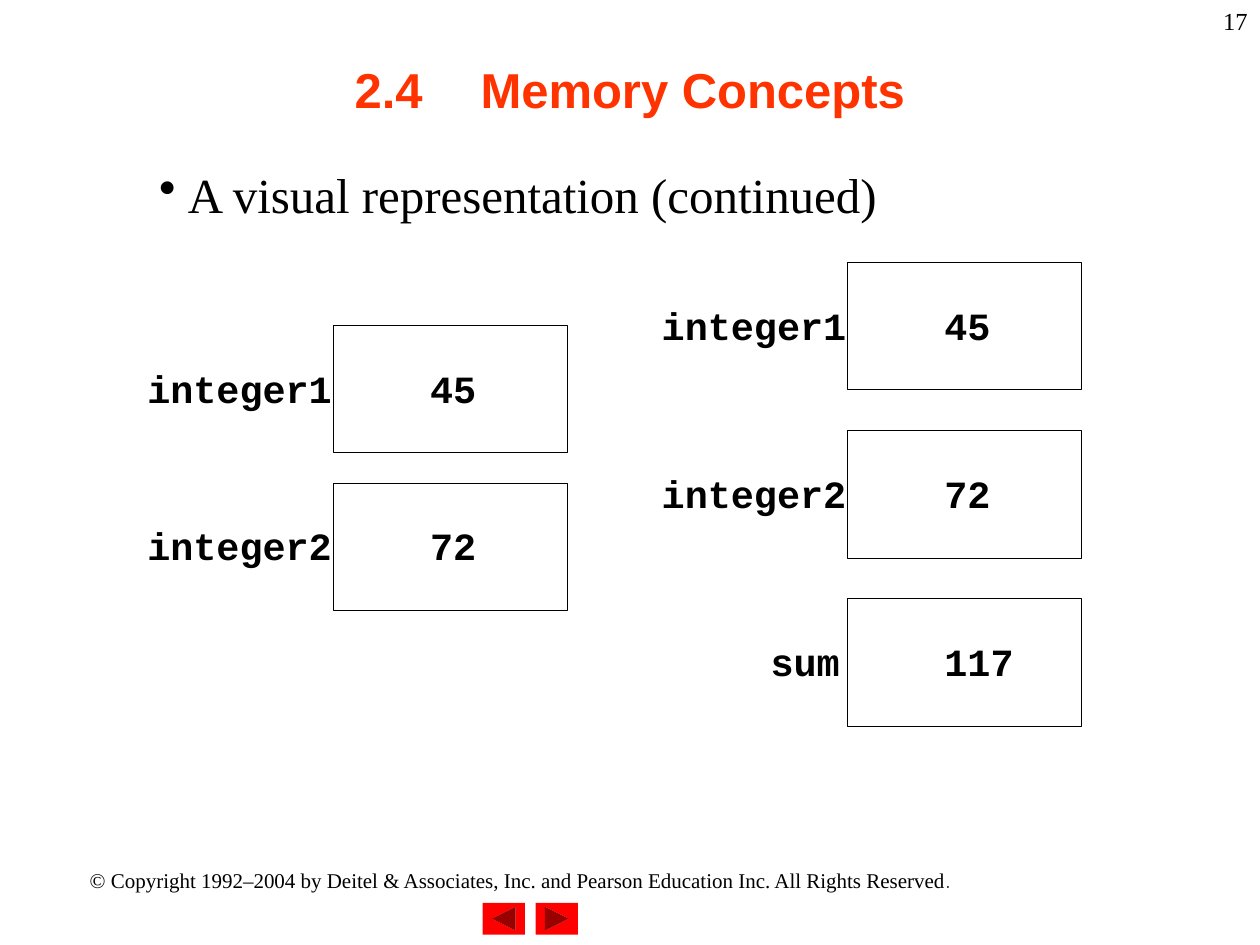
from lxml.etree import SubElement
from pptx import Presentation
from pptx.dml.color import RGBColor
from pptx.enum.shapes import MSO_SHAPE
from pptx.enum.text import MSO_ANCHOR, PP_ALIGN
from pptx.oxml.ns import qn
from pptx.util import Cm, Pt

BLACK, WHITE, RED, ORANGE = "000000", "FFFFFF", "FF0000", "FF3300"
CELL_WIDTH, CELL_HEIGHT = 4.72, 2.57
CHARACTER_WIDTH = 0.47


def color(hex_code):
    """Turn a hex string into a colour."""
    return RGBColor.from_string(hex_code)


def add_run(paragraph, text, font, size, hex_code=BLACK, bold=False):
    """Append a formatted run to a paragraph."""
    run = paragraph.add_run()
    run.text = text
    run.font.name = font
    run.font.size = Pt(size)
    run.font.bold = bold
    run.font.color.rgb = color(hex_code)


def add_text(shapes, text, left, top, width, height, font="Times New Roman",
             size=28, hex_code=BLACK, bold=False, align=PP_ALIGN.LEFT,
             anchor=MSO_ANCHOR.TOP, inset=True, wrap=True):
    """Add a one-paragraph text box and return its paragraph."""
    frame = shapes.add_textbox(Cm(left), Cm(top), Cm(width), Cm(height)).text_frame
    frame.word_wrap = wrap
    frame.vertical_anchor = anchor
    frame.margin_left = frame.margin_right = Cm(0.25 if inset else 0)
    frame.margin_top = frame.margin_bottom = Cm(0.13 if inset else 0)
    paragraph = frame.paragraphs[0]
    paragraph.alignment = align
    add_run(paragraph, text, font, size, hex_code, bold)
    return paragraph


def set_bullet(paragraph, indent):
    """Give a paragraph a round bullet with a hanging indent."""
    properties = paragraph._p.get_or_add_pPr()
    properties.set("marL", str(Cm(indent)))
    properties.set("indent", str(-Cm(indent)))
    SubElement(properties, qn("a:buChar"), char="•")


def set_tab(paragraph, position):
    """Give a paragraph one left tab stop."""
    tabs = SubElement(paragraph._p.get_or_add_pPr(), qn("a:tabLst"))
    SubElement(tabs, qn("a:tab"), pos=str(Cm(position)), algn="l")


def add_filled_shape(shapes, preset, left, top, width, height, fill):
    """Add a flat preset shape without an outline and return it."""
    shape = shapes.add_shape(preset, Cm(left), Cm(top), Cm(width), Cm(height))
    shape.shadow.inherit = False
    shape.fill.solid()
    shape.fill.fore_color.rgb = color(fill)
    shape.line.fill.background()
    return shape


def add_memory_cell(slide, name, value, left, top, label_width=3.73):
    """Add a grouped memory location with its variable name and value."""
    shapes = slide.shapes.add_group_shape().shapes
    cell = add_filled_shape(shapes, MSO_SHAPE.RECTANGLE, left, top,
                            CELL_WIDTH, CELL_HEIGHT, WHITE)
    cell.line.color.rgb = color(BLACK)
    cell.line.width = Pt(0.5)
    code = dict(font="Courier New", size=22, bold=True, inset=False, wrap=False)
    text_top = top + 0.79
    add_text(shapes, name, left - 3.76, text_top, label_width, 0.94,
             align=PP_ALIGN.RIGHT, **code)
    add_text(shapes, value, left + 1.95, text_top,
             CHARACTER_WIDTH * len(value), 0.94, **code)


def main():
    """Build the memory concepts slide."""
    presentation = Presentation()
    presentation.slide_width, presentation.slide_height = Cm(25.4), Cm(19.05)
    slide = presentation.slides.add_slide(presentation.slide_layouts[6])
    shapes = slide.shapes

    for preset, left in ((MSO_SHAPE.ACTION_BUTTON_FORWARD_OR_NEXT, 10.8),
                         (MSO_SHAPE.ACTION_BUTTON_BACK_OR_PREVIOUS, 9.73)):
        add_filled_shape(shapes, preset, left, 18.2, 0.85, 0.64, RED)

    copyright_line = add_text(
        shapes,
        "© Copyright 1992–2004 by Deitel & Associates, Inc. and Pearson Education Inc. All Rights Reserved",
        1.27, 17.36, 18.42, 0.76, size=12, align=PP_ALIGN.CENTER)
    add_run(copyright_line, ".", "Quicksand", 12)

    title = add_text(shapes, "2.4\tMemory Concepts", 1.9, 0.21, 21.59, 3.18,
                     font="Arial", hex_code=ORANGE, bold=True,
                     align=PP_ALIGN.CENTER, anchor=MSO_ANCHOR.MIDDLE)
    set_tab(title, 2.54)

    for row, (name, value) in enumerate((("integer1", "45"), ("integer2", "72"))):
        add_memory_cell(slide, name, value, 6.72, 6.56 + 3.18 * row)
    for row, (name, value, label_width) in enumerate((
            ("integer1", "45", 3.73), ("integer2", "72", 3.73), ("sum", "117", 3.6))):
        add_memory_cell(slide, name, value, 17.09, 5.29 + 3.39 * row, label_width)

    topic = add_text(shapes, "A visual representation (continued)",
                     2.96, 3.18, 18.63, 1.45)
    set_bullet(topic, 0.58)
    add_text(shapes, "17", 20.11, 0, 5.29, 1.27, size=14, align=PP_ALIGN.RIGHT)

    presentation.save("out.pptx")


if __name__ == "__main__":
    main()
